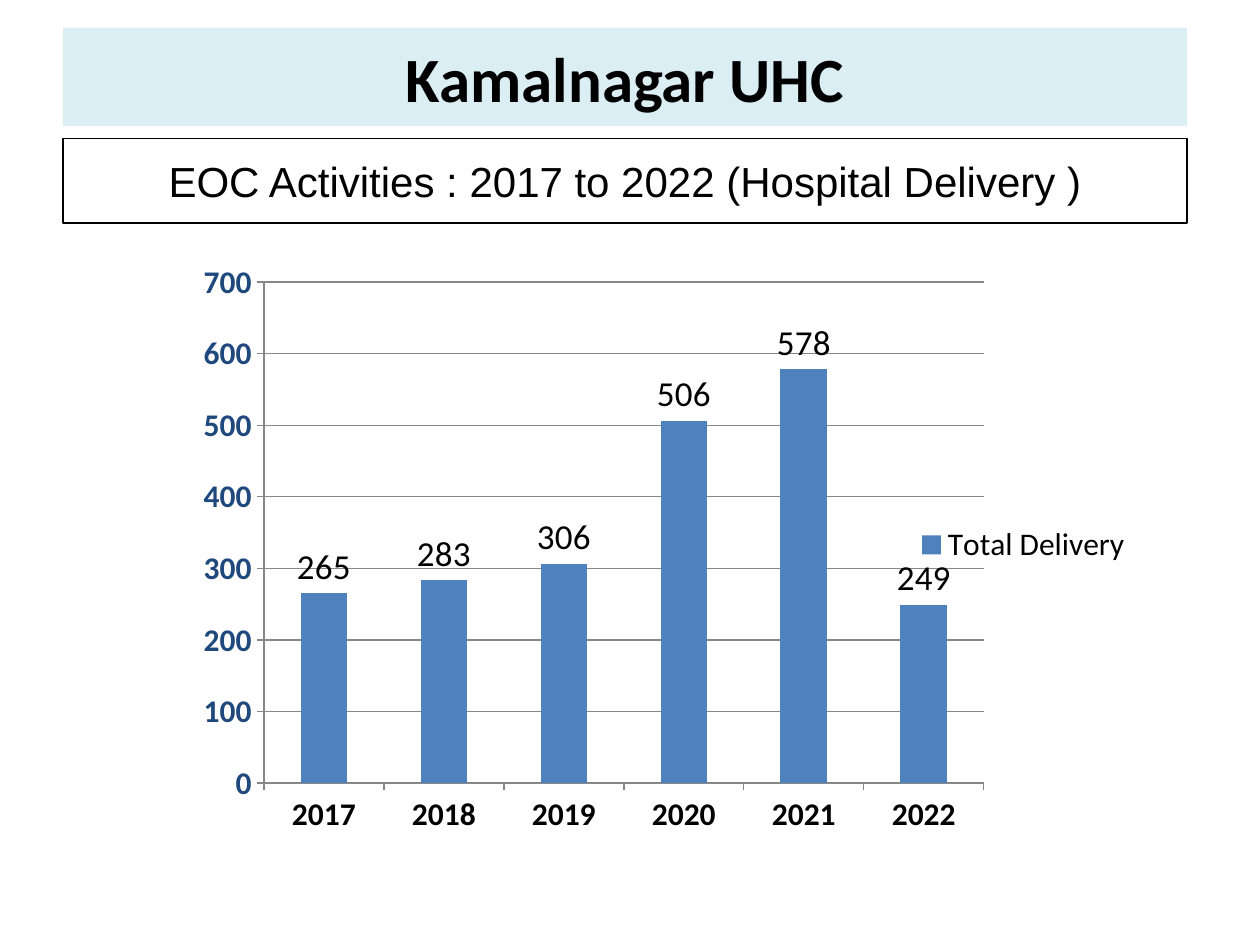
from lxml.etree import SubElement
from pptx import Presentation
from pptx.chart.data import CategoryChartData
from pptx.dml.color import RGBColor
from pptx.enum.chart import XL_CHART_TYPE, XL_LABEL_POSITION, XL_LEGEND_POSITION, XL_TICK_MARK
from pptx.enum.shapes import MSO_SHAPE
from pptx.enum.text import MSO_ANCHOR, PP_ALIGN
from pptx.oxml.ns import qn
from pptx.util import Inches, Pt

COLORS = {"text": "000000", "band": "DBEEF4", "box": "FFFFFF",
          "bar": "4F81BD", "values": "1F497D", "axis": "878787"}
# text, top, height, fill, outlined, font, size, bold
HEADINGS = [
    ("Kamalnagar UHC", 0.22, 0.78, "band", False, "Calibri", 36, True),
    ("EOC Activities : 2017 to 2022 (Hospital Delivery )", 1.1, 0.67, "box", True,
     "Arial", 24, False),
]
DELIVERIES = {"2017": 265, "2018": 283, "2019": 306, "2020": 506, "2021": 578, "2022": 249}
PLOT = {"x": 0.088, "y": 0.061, "w": 0.745, "h": 0.837}


def rgb(name):
    return RGBColor.from_string(COLORS[name])


def set_font(font, size, color="text", bold=False, name="Calibri"):
    font.name, font.size, font.bold = name, Pt(size), bold
    font.color.rgb = rgb(color)


def style_line(line, color="axis"):
    line.color.rgb = rgb(color)
    line.width = Pt(0.75)


prs = Presentation()
prs.slide_width, prs.slide_height = Inches(10), Inches(7.5)
s = prs.slides.add_slide(prs.slide_layouts[6])

# Heading bands
for text, top, height, fill, outlined, name, size, bold in HEADINGS:
    sp = s.shapes.add_shape(MSO_SHAPE.RECTANGLE, Inches(0.5), Inches(top),
                            Inches(8.92), Inches(height))
    sp.shadow.inherit = False
    sp.fill.solid()
    sp.fill.fore_color.rgb = rgb(fill)
    if outlined:
        style_line(sp.line, "text")
    else:
        sp.line.fill.background()
    tf = sp.text_frame
    tf.word_wrap = True
    tf.vertical_anchor = MSO_ANCHOR.MIDDLE
    p = tf.paragraphs[0]
    p.text = text
    p.alignment = PP_ALIGN.CENTER
    set_font(p.font, size, bold=bold, name=name)

# Delivery chart
data = CategoryChartData()
data.categories = list(DELIVERIES)
data.add_series("Total Delivery", list(DELIVERIES.values()))
chart = s.shapes.add_chart(XL_CHART_TYPE.COLUMN_CLUSTERED, Inches(1.42), Inches(1.95),
                           Inches(7.67), Inches(4.75), data).chart
chart.has_title = False
set_font(chart.font, 18)
chart.has_legend = True
chart.legend.position = XL_LEGEND_POSITION.RIGHT
chart.legend.include_in_layout = False
set_font(chart.legend.font, 18)

# Bars and their labels
plot = chart.plots[0]
plot.gap_width, plot.overlap, plot.vary_by_categories = 157, 7, False
bars = plot.series[0]
bars.format.fill.solid()
bars.format.fill.fore_color.rgb = rgb("bar")
labels = bars.data_labels
labels.show_value = True
labels.position = XL_LABEL_POSITION.OUTSIDE_END
set_font(labels.font, 20)

# Axes
for axis, color in ((chart.category_axis, "text"), (chart.value_axis, "values")):
    axis.major_tick_mark = XL_TICK_MARK.OUTSIDE
    axis.minor_tick_mark = XL_TICK_MARK.NONE
    set_font(axis.tick_labels.font, 18, color, bold=True)
    style_line(axis.format.line)
scale = chart.value_axis
scale.minimum_scale, scale.maximum_scale, scale.major_unit = 0, 700, 100
scale.has_major_gridlines = True
style_line(scale.major_gridlines.format.line)

# Fixed inner plot area
area = plot._element.getparent()
for old in area.findall(qn("c:layout")):
    area.remove(old)
layout = SubElement(area, qn("c:layout"))
area.insert(0, layout)
manual = SubElement(layout, qn("c:manualLayout"))
settings = {"layoutTarget": "inner", "xMode": "edge", "yMode": "edge", **PLOT}
for tag, value in settings.items():
    SubElement(manual, qn(f"c:{tag}")).set("val", str(value))

prs.save("out.pptx")
